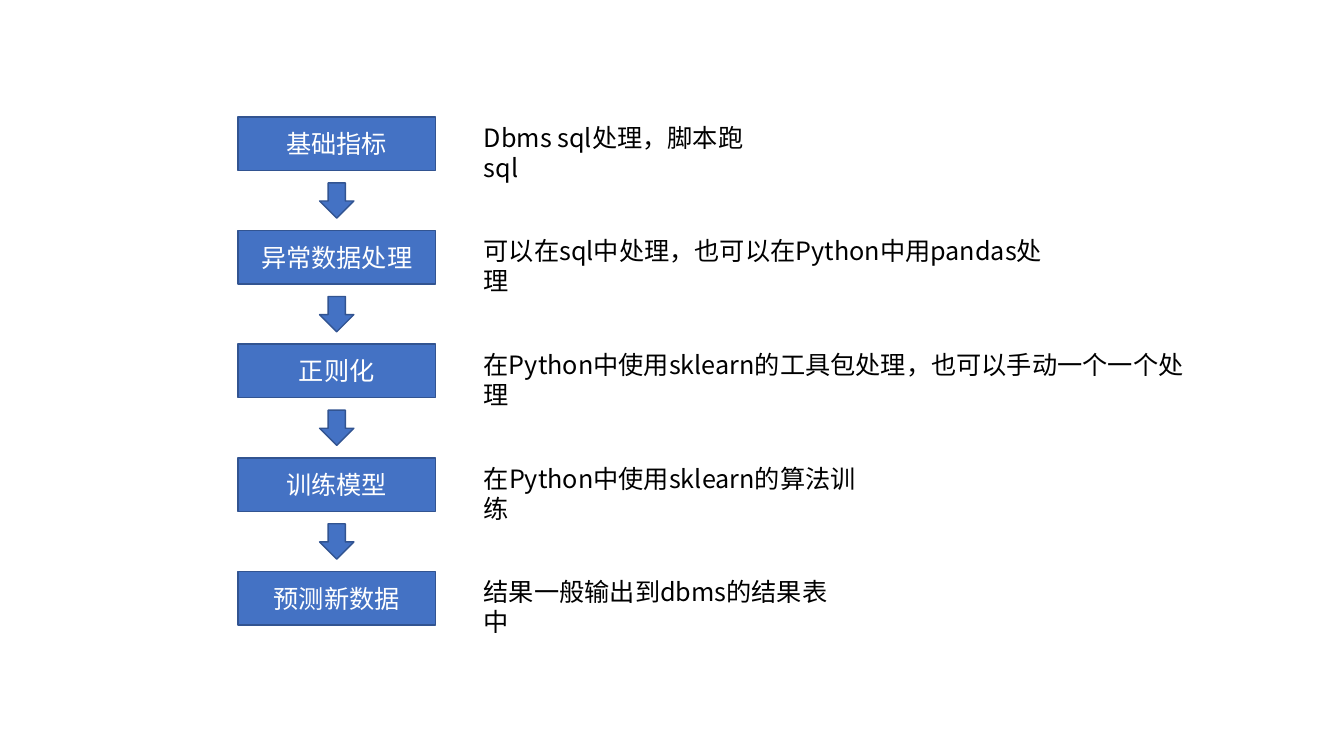
from lxml import etree
from pptx import Presentation
from pptx import util as u
from pptx.dml.color import RGBColor
from pptx.enum import shapes, text
from pptx.oxml.ns import qn

FONT = "Noto Sans CJK SC"
COLOURS = {"fill": "4472C4", "edge": "325491", "label": "FFFFFF", "note": "000000"}

# Step label, note, note width in inches
STEPS = [
    ("基础指标", "Dbms sql处理，脚本跑sql", 3.09),
    ("异常数据处理", "可以在sql中处理，也可以在Python中用pandas处理", 5.83),
    ("正则化", "在Python中使用sklearn的工具包处理，也可以手动一个一个处理", 7.27),
    ("训练模型", "在Python中使用sklearn的算法训练", 3.99),
    ("预测新数据", "结果一般输出到dbms的结果表中", 3.77),
]

FIRST_TOP, LAST_TOP = 1.16, 5.67
PITCH = (LAST_TOP - FIRST_TOP) / (len(STEPS) - 1)
STEP_LEFT, STEP_WIDTH, STEP_HEIGHT = 2.36, 1.96, 0.53
ARROW_WIDTH, ARROW_HEIGHT = 0.34, 0.35
NOTE_LEFT, NOTE_HEIGHT = 4.7, 0.4


def colour(name):
    return RGBColor.from_string(COLOURS[name])


def apply(target, formats):
    for name, value in formats.items():
        setattr(target, name, value)


def write(box, words, colour_name, align, frame_formats):
    apply(box.text_frame, {"word_wrap": True, **frame_formats})
    para = box.text_frame.paragraphs[0]
    para.alignment = align
    span = para.add_run()
    span.text = words
    apply(span.font, {"name": FONT, "size": u.Pt(18)})
    span.font.color.rgb = colour(colour_name)
    # East Asian typeface
    etree.SubElement(span.font._element, qn("a:ea"), typeface=FONT)


def add_block(page, kind, left, top, width, height):
    block = page.shapes.add_shape(kind, *map(u.Inches, (left, top, width, height)))
    block.shadow.inherit = False
    block.fill.solid()
    block.fill.fore_color.rgb = colour("fill")
    block.line.color.rgb = colour("edge")
    block.line.width = u.Pt(1)
    return block


def add_step(page, top, label):
    box = add_block(page, shapes.MSO_SHAPE.RECTANGLE,
                    STEP_LEFT, top, STEP_WIDTH, STEP_HEIGHT)
    write(box, label, "label", text.PP_ALIGN.CENTER,
          {"vertical_anchor": text.MSO_ANCHOR.MIDDLE})


def add_arrow(page, step_top):
    # Centred in the gap below a step
    left = STEP_LEFT + (STEP_WIDTH - ARROW_WIDTH) / 2
    top = step_top + (STEP_HEIGHT + PITCH - ARROW_HEIGHT) / 2
    add_block(page, shapes.MSO_SHAPE.DOWN_ARROW, left, top, ARROW_WIDTH, ARROW_HEIGHT)


def add_note(page, top, words, width):
    box = page.shapes.add_textbox(*map(u.Inches, (NOTE_LEFT, top, width, NOTE_HEIGHT)))
    write(box, words, "note", text.PP_ALIGN.LEFT,
          {"auto_size": text.MSO_AUTO_SIZE.SHAPE_TO_FIT_TEXT})


def main():
    deck = Presentation()
    apply(deck, {"slide_width": u.Inches(13.33), "slide_height": u.Inches(7.5)})
    page = deck.slides.add_slide(deck.slide_layouts[6])
    tops = [FIRST_TOP + row * PITCH for row in range(len(STEPS))]

    # Flow of steps
    for top, (label, _, _) in zip(tops, STEPS):
        add_step(page, top, label)
    for top in tops[:-1]:
        add_arrow(page, top)

    # Notes beside the steps
    for top, (_, note, width) in zip(tops, STEPS):
        add_note(page, top, note, width)

    deck.save("out.pptx")


main()
